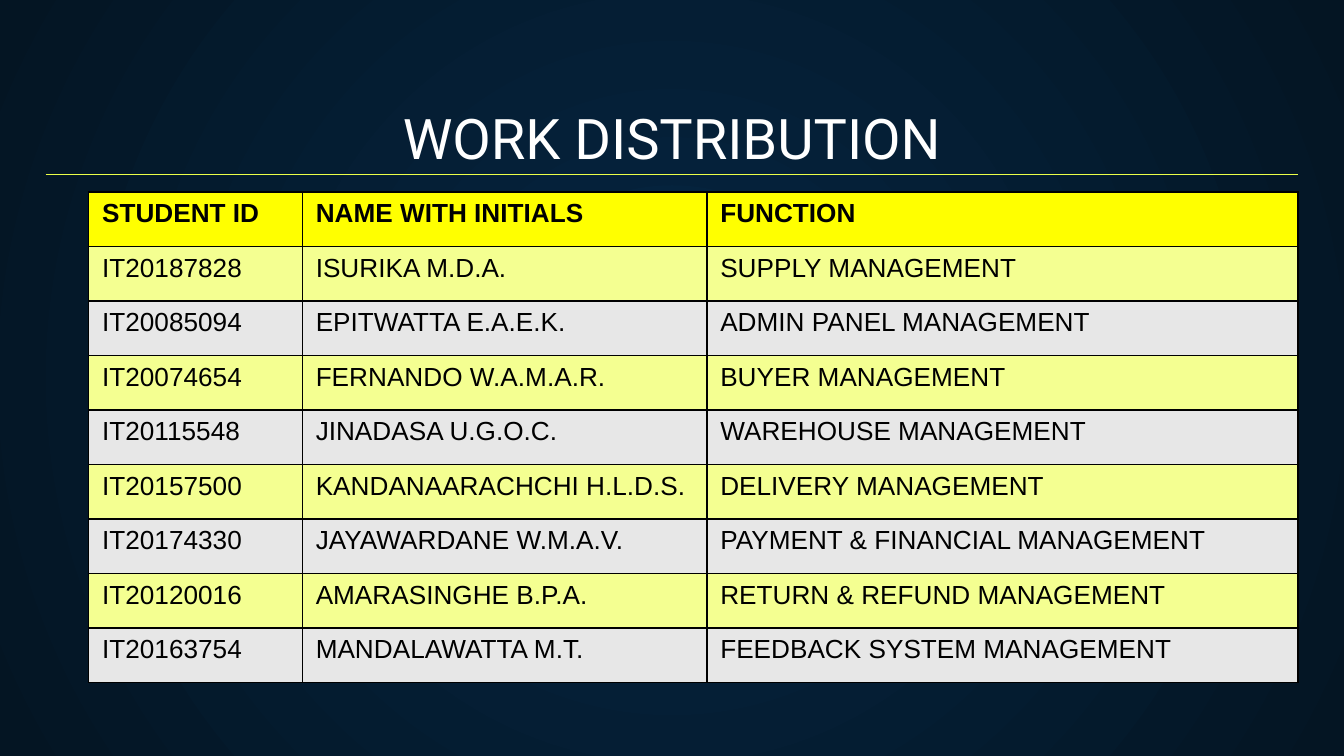
from lxml import etree
from pptx import Presentation
from pptx import util as u
from pptx.dml.color import RGBColor
from pptx.enum import shapes, text
from pptx.oxml.ns import qn

ROWS = [
    ("STUDENT ID", "NAME WITH INITIALS", "FUNCTION"),
    ("IT20187828", "ISURIKA M.D.A.", "SUPPLY MANAGEMENT"),
    ("IT20085094", "EPITWATTA E.A.E.K.", "ADMIN PANEL MANAGEMENT"),
    ("IT20074654", "FERNANDO W.A.M.A.R.", "BUYER MANAGEMENT"),
    ("IT20115548", "JINADASA U.G.O.C.", "WAREHOUSE MANAGEMENT"),
    ("IT20157500", "KANDANAARACHCHI H.L.D.S.", "DELIVERY MANAGEMENT"),
    ("IT20174330", "JAYAWARDANE W.M.A.V.", "PAYMENT & FINANCIAL MANAGEMENT"),
    ("IT20120016", "AMARASINGHE B.P.A.", "RETURN & REFUND MANAGEMENT"),
    ("IT20163754", "MANDALAWATTA M.T.", "FEEDBACK SYSTEM MANAGEMENT"),
]
WIDTHS = (1.59, 3.01, 4.4)
HEAD, ODD, EVEN = "FFFF00", "F4FF91", "E7E7E7"


def rgb(code):
    return RGBColor.from_string(code)


def write(frame, words, size=14, face="Arial", color="000000", bold=False,
          align=text.PP_ALIGN.LEFT):
    para = frame.paragraphs[0]
    para.alignment = align
    run = para.add_run()
    run.text = words
    font = run.font
    font.size, font.name, font.bold = u.Pt(size), face, bold
    font.color.rgb = rgb(color)


def paint_back(slide, inner, outer):
    """Fill the background with a gradient that spreads from the centre."""
    fill = slide.background.fill
    fill.gradient()
    for stop, code, place in zip(fill.gradient_stops, (inner, outer), (0, 1)):
        stop.color.rgb = rgb(code)
        stop.position = place
    grad = slide.element.find(".//" + qn("a:gradFill"))
    grad.remove(grad.find(qn("a:lin")))
    ring = etree.SubElement(grad, qn("a:path"), path="circle")
    etree.SubElement(ring, qn("a:fillToRect"),
                     {side: "50000" for side in "ltrb"})


def add_title(slide, words):
    title = slide.shapes.title
    title.left, title.top = u.Inches(0.34), u.Inches(0.71)
    title.width, title.height = u.Inches(9.32), u.Inches(0.66)
    frame = title.text_frame
    frame.auto_size = text.MSO_AUTO_SIZE.NONE
    frame.vertical_anchor = text.MSO_ANCHOR.BOTTOM
    frame.margin_left = frame.margin_right = u.Inches(0.1)
    frame.margin_top = frame.margin_bottom = u.Inches(0.1)
    write(frame, words, size=30, face="Roboto", color="FFFFFF",
          align=text.PP_ALIGN.CENTER)


def add_rule(slide, left, right, top, color):
    rule = slide.shapes.add_connector(
        shapes.MSO_CONNECTOR.STRAIGHT,
        u.Inches(left), u.Inches(top), u.Inches(right), u.Inches(top))
    rule.line.color.rgb = rgb(color)
    rule.line.width = u.Pt(0.75)
    etree.SubElement(rule.element.spPr, qn("a:effectLst"))


def edge(cell, color="000000", width=1):
    """Draw all four borders; call before the cell's fill is set."""
    props = cell._tc.get_or_add_tcPr()
    for side in "LRTB":
        line = etree.SubElement(props, qn("a:ln" + side), w=str(u.Pt(width)))
        solid = etree.SubElement(line, qn("a:solidFill"))
        etree.SubElement(solid, qn("a:srgbClr"), val=color)


def add_grid(slide):
    table = slide.shapes.add_table(
        len(ROWS), len(WIDTHS), u.Inches(0.66), u.Inches(1.43),
        u.Inches(sum(WIDTHS)), u.Inches(3.65)).table
    for col, width in zip(table.columns, WIDTHS):
        col.width = u.Inches(width)
    for r, row in enumerate(ROWS):
        shade = HEAD if r == 0 else ODD if r % 2 else EVEN
        for c, words in enumerate(row):
            cell = table.cell(r, c)
            edge(cell)
            cell.fill.solid()
            cell.fill.fore_color.rgb = rgb(shade)
            write(cell.text_frame, words, bold=r == 0)


def main():
    deck = Presentation()
    deck.slide_width = u.Inches(10)
    deck.slide_height = u.Inches(10) * 9 // 16
    slide = deck.slides.add_slide(deck.slide_layouts[5])
    paint_back(slide, "052643", "041523")
    add_title(slide, "WORK DISTRIBUTION")
    add_rule(slide, 0.34, 9.66, 1.3, "ECFF48")
    add_grid(slide)
    deck.save("out.pptx")


if __name__ == "__main__":
    main()
